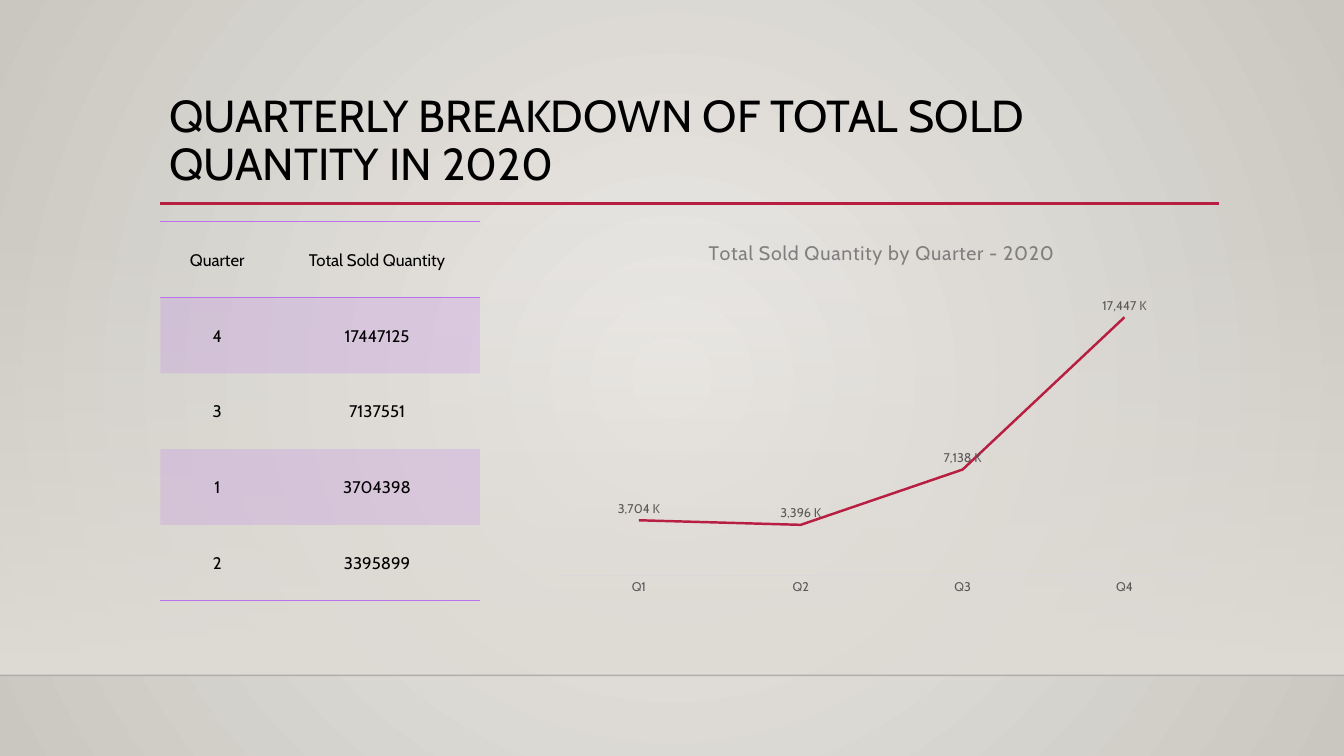
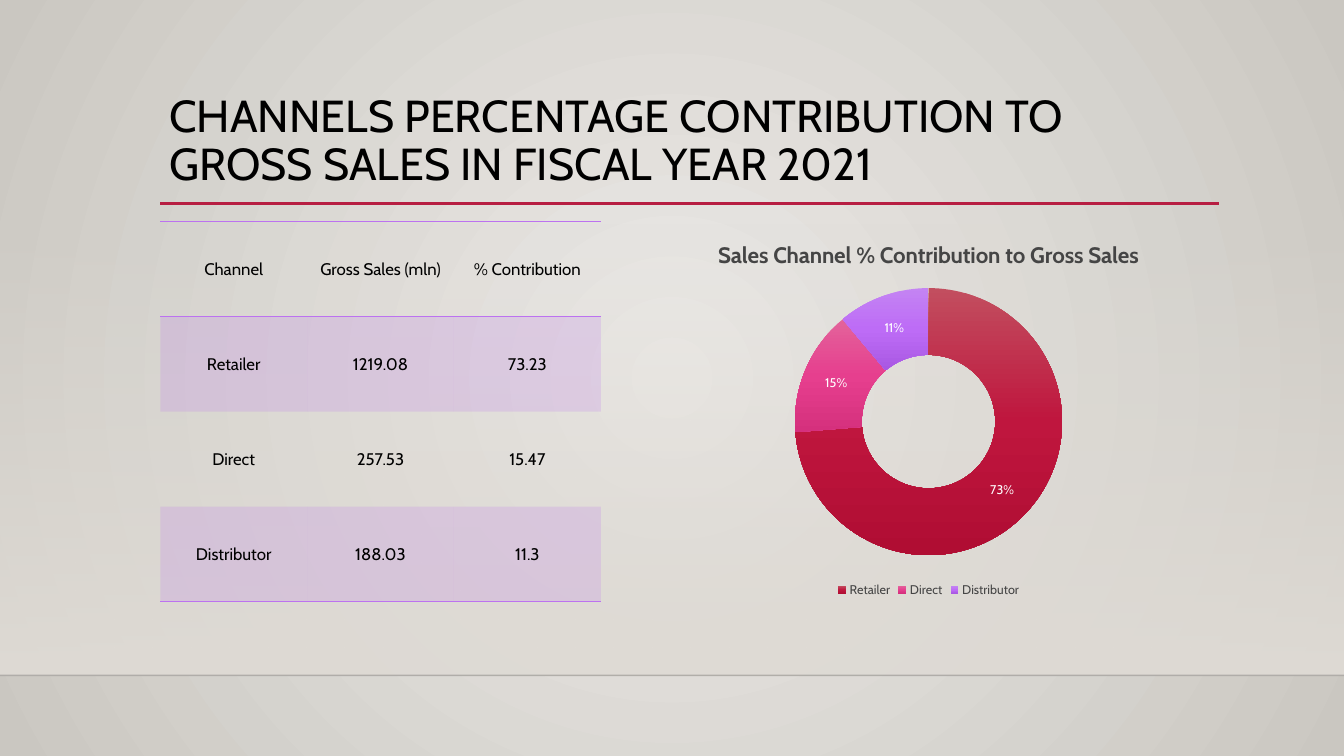
from pptx import Presentation
from pptx import util as u
from pptx.chart.data import CategoryChartData
from pptx.dml.color import RGBColor
from pptx.enum import chart as ch, shapes, text
from pptx.oxml import parse_xml
from pptx.oxml.ns import nsdecls

FONT = "Cabin"
BLACK, WHITE = "000000", "FFFFFF"
RED, LILAC, SAND = "B71E42", "BC72F0", "DFDBD5"
DARK, MID, GREY, PALE = "454545", "595959", "7F7F7F", "D9D9D9"
PLAIN = "{2D5ABB26-0587-4C30-8999-92F81FD0307C}"
SHADES = [
    ("C24E5F", "BF163E", "B00D33"),
    ("E3639B", "E63F8E", "D5307D"),
    ("C484F3", "BD6CF6", "A958E3"),
]


def rgb(code):
    return RGBColor.from_string(code)


def grad(stops, round_=False):
    """Gradient from (position, colour, opacity) stops, all in percent."""
    items = "".join(
        f'<a:gs pos="{pos * 1000}"><a:srgbClr val="{code}">'
        f'<a:alpha val="{alpha * 1000}"/></a:srgbClr></a:gs>'
        for pos, code, alpha in stops)
    way = '<a:lin ang="5400000" scaled="0"/>'
    if round_:
        way = ('<a:path path="circle"><a:fillToRect l="50000" t="50000" '
               'r="50000" b="50000"/></a:path>')
    return parse_xml(f'<a:gradFill {nsdecls("a")} rotWithShape="1">'
                     f'<a:gsLst>{items}</a:gsLst>{way}</a:gradFill>')


def swap(node, new):
    node.getparent().replace(node, new)


def fade(node, alpha):
    node.append(parse_xml(
        f'<a:alpha {nsdecls("a")} val="{alpha * 1000}"/>'))


class Deck:
    def __init__(self):
        self.prs = Presentation()
        self.prs.slide_width = u.Inches(13.33)
        self.prs.slide_height = u.Inches(7.5)
        self.slide = None

    def style(self, font, size, code, bold=False):
        font.name, font.size, font.bold = FONT, u.Pt(size), bold
        font.color.rgb = rgb(code)

    def page(self, title):
        self.slide = self.prs.slides.add_slide(self.prs.slide_layouts[6])
        # Background and floor
        self.slide.background.fill.background()
        back = self.slide.element.xpath(".//p:bgPr/a:noFill")[0]
        swap(back, grad([(0, "ECEAE7", 100), (100, "CAC7C1", 100)], True))
        self.band(2.21, 4.49)
        self.rule(0, 13.33, 6.7, "000001", 1, 20)
        # Title and its rule
        self.rule(1.59, 12.09, 2.02, RED, 2.5)
        self.title(title)

    def band(self, top, height):
        box = self.slide.shapes.add_shape(
            shapes.MSO_SHAPE.RECTANGLE, 0, u.Inches(top),
            self.prs.slide_width, u.Inches(height))
        box.shadow.inherit = False
        box.line.fill.background()
        box.fill.background()
        swap(box.element.xpath("./p:spPr/a:noFill")[0],
             grad([(0, SAND, 0), (100, SAND, 100)]))

    def rule(self, left, right, top, code, width, alpha=100):
        line = self.slide.shapes.add_connector(
            shapes.MSO_CONNECTOR.STRAIGHT, u.Inches(left), u.Inches(top),
            u.Inches(right), u.Inches(top))
        line.line.color.rgb = rgb(code)
        line.line.width = u.Pt(width)
        fade(line.element.xpath(".//a:ln//a:srgbClr")[0], alpha)
        line.element.spPr.append(
            parse_xml(f'<a:effectLst {nsdecls("a")}/>'))

    def title(self, words):
        box = self.slide.shapes.add_textbox(
            u.Inches(1.58), u.Inches(0.88), u.Inches(10.5), u.Inches(1.16))
        frame = box.text_frame
        frame.word_wrap = True
        frame.text = words
        par = frame.paragraphs[0]
        par.line_spacing = 0.9
        self.style(par.runs[0].font, 32, BLACK)

    def table(self, rows, widths, height):
        frame = self.slide.shapes.add_table(
            len(rows), len(widths), u.Inches(1.59), u.Inches(2.2),
            u.Inches(sum(widths)), u.Inches(height))
        grid = frame.table
        grid.first_row = grid.horz_banding = False
        frame.element.xpath(".//a:tableStyleId")[0].text = PLAIN
        for col, width in zip(grid.columns, widths):
            col.width = u.Inches(width)
        for i, row in enumerate(rows):
            grid.rows[i].height = u.Inches(height / len(rows))
            for j, words in enumerate(row):
                self.cell(grid.cell(i, j), words, i % 2 == 1)
        # Tint and borders
        for node in frame.element.xpath(".//a:tcPr//a:srgbClr"):
            fade(node, 20)
        for i, row in enumerate(frame.element.xpath(".//a:tr")):
            sides = {0: "TB", len(rows) - 1: "B"}.get(i, "")
            for node in row.xpath("./a:tc/a:tcPr"):
                for k, side in enumerate(sides):
                    node.insert(k, parse_xml(
                        f'<a:ln{side} {nsdecls("a")} w="12700"><a:solidFill>'
                        f'<a:srgbClr val="{LILAC}"/></a:solidFill>'
                        f'</a:ln{side}>'))

    def cell(self, cell, words, tint):
        cell.text_frame.text = words
        cell.vertical_anchor = text.MSO_ANCHOR.MIDDLE
        cell.margin_left = cell.margin_right = u.Inches(0.01)
        cell.margin_top, cell.margin_bottom = u.Inches(0.01), 0
        par = cell.text_frame.paragraphs[0]
        par.alignment = text.PP_ALIGN.CENTER
        self.style(par.runs[0].font, 12, BLACK)
        if tint:
            cell.fill.solid()
            cell.fill.fore_color.rgb = rgb(LILAC)
        else:
            cell.fill.background()

    def chart(self, kind, left, width, cats, vals, head, look, area):
        data = CategoryChartData()
        data.categories = cats
        data.add_series("Series 1", vals)
        chart = self.slide.shapes.add_chart(
            kind, u.Inches(left), u.Inches(2.21), u.Inches(width),
            u.Inches(3.76), data).chart
        self.style(chart.font, 10, BLACK)
        chart.has_legend = False
        chart.has_title = True
        frame = chart.chart_title.text_frame
        frame.text = head
        self.style(frame.paragraphs[0].runs[0].font, *look)
        chart.chart_title.include_in_layout = False
        # Plot area as shares of the chart
        for node in chart.element.xpath(".//c:plotArea/c:layout"):
            node.getparent().remove(node)
        spots = "".join(f'<c:{key} val="{val}"/>'
                        for key, val in zip("xywh", area))
        chart.element.xpath(".//c:plotArea")[0].insert(0, parse_xml(
            f'<c:layout {nsdecls("c")}><c:manualLayout>'
            '<c:layoutTarget val="inner"/><c:xMode val="edge"/>'
            f'<c:yMode val="edge"/>{spots}</c:manualLayout></c:layout>'))
        return chart

    def labels(self, plot, code, form):
        plot.has_data_labels = True
        tags = plot.data_labels
        self.style(tags.font, 9, code)
        tags.show_value, tags.show_percentage = True, False
        tags.number_format, tags.number_format_is_linked = form, False
        return tags

    def trend(self, cats, vals, head):
        chart = self.chart(ch.XL_CHART_TYPE.LINE_STACKED, 5.4, 6.69, cats,
                           vals, head, (14, GREY), (0.02, 0.15, 0.96, 0.78))
        chart.element.xpath(".//c:title//a:rPr")[0].set("spc", "40")
        plot = chart.plots[0]
        plot.vary_by_categories = False
        line = plot.series[0]
        line.smooth = False
        line.marker.style = ch.XL_MARKER_STYLE.NONE
        line.format.line.color.rgb = rgb(RED)
        line.format.line.width = u.Pt(1.75)
        tags = self.labels(plot, MID, r"#,##0,\ \K")
        tags.position = ch.XL_LABEL_POSITION.ABOVE
        # Axes
        side = chart.value_axis
        side.visible = side.has_major_gridlines = False
        side.minimum_scale, side.maximum_scale = 0, 20000000
        base = chart.category_axis
        base.major_tick_mark = ch.XL_TICK_MARK.NONE
        base.format.line.color.rgb = rgb(PALE)
        base.format.line.width = u.Pt(0.75)
        self.style(base.tick_labels.font, 9, MID)

    def ring(self, cats, vals, head):
        chart = self.chart(ch.XL_CHART_TYPE.DOUGHNUT, 6.33, 5.76, cats, vals,
                           head, (16, DARK, True), (0.27, 0.17, 0.46, 0.71))
        plot = chart.plots[0]
        plot.vary_by_categories = True
        for i in range(len(cats)):
            plot.series[0].points[i].format.fill.background()
        holes = chart.element.xpath(".//c:dPt/c:spPr/a:noFill")
        for node, codes in zip(holes, SHADES):
            swap(node, grad([(50 * k, code, 100)
                             for k, code in enumerate(codes)]))
        chart.element.xpath(".//c:holeSize")[0].set("val", "75")
        self.labels(plot, WHITE, '0"%"')
        # Legend
        chart.has_legend = True
        chart.legend.position = ch.XL_LEGEND_POSITION.BOTTOM
        chart.legend.include_in_layout = False
        self.style(chart.legend.font, 9, DARK)


def main():
    deck = Deck()

    # Quarters
    deck.page("QUARTERLY BREAKDOWN OF TOTAL SOLD QUANTITY IN 2020")
    deck.table([
        ("Quarter", "Total Sold Quantity"),
        ("4", "17447125"),
        ("3", "7137551"),
        ("1", "3704398"),
        ("2", "3395899"),
    ], (1.13, 2.04), 3.76)
    deck.trend(("Q1", "Q2", "Q3", "Q4"),
               (3704000, 3396000, 7138000, 17447000),
               "Total Sold Quantity by Quarter - 2020")

    # Channels
    deck.page("CHANNELS PERCENTAGE CONTRIBUTION TO GROSS SALES "
              "IN FISCAL YEAR 2021")
    sales = [
        ("Retailer", "1219.08", "73.23"),
        ("Direct", "257.53", "15.47"),
        ("Distributor", "188.03", "11.3"),
    ]
    deck.table([("Channel", "Gross Sales (mln)", "% Contribution")] + sales,
               (4.37 / 3,) * 3, 3.77)
    deck.ring([row[0] for row in sales],
              [round(float(row[2])) for row in sales],
              "Sales Channel % Contribution to Gross Sales")

    deck.prs.save("out.pptx")


if __name__ == "__main__":
    main()
